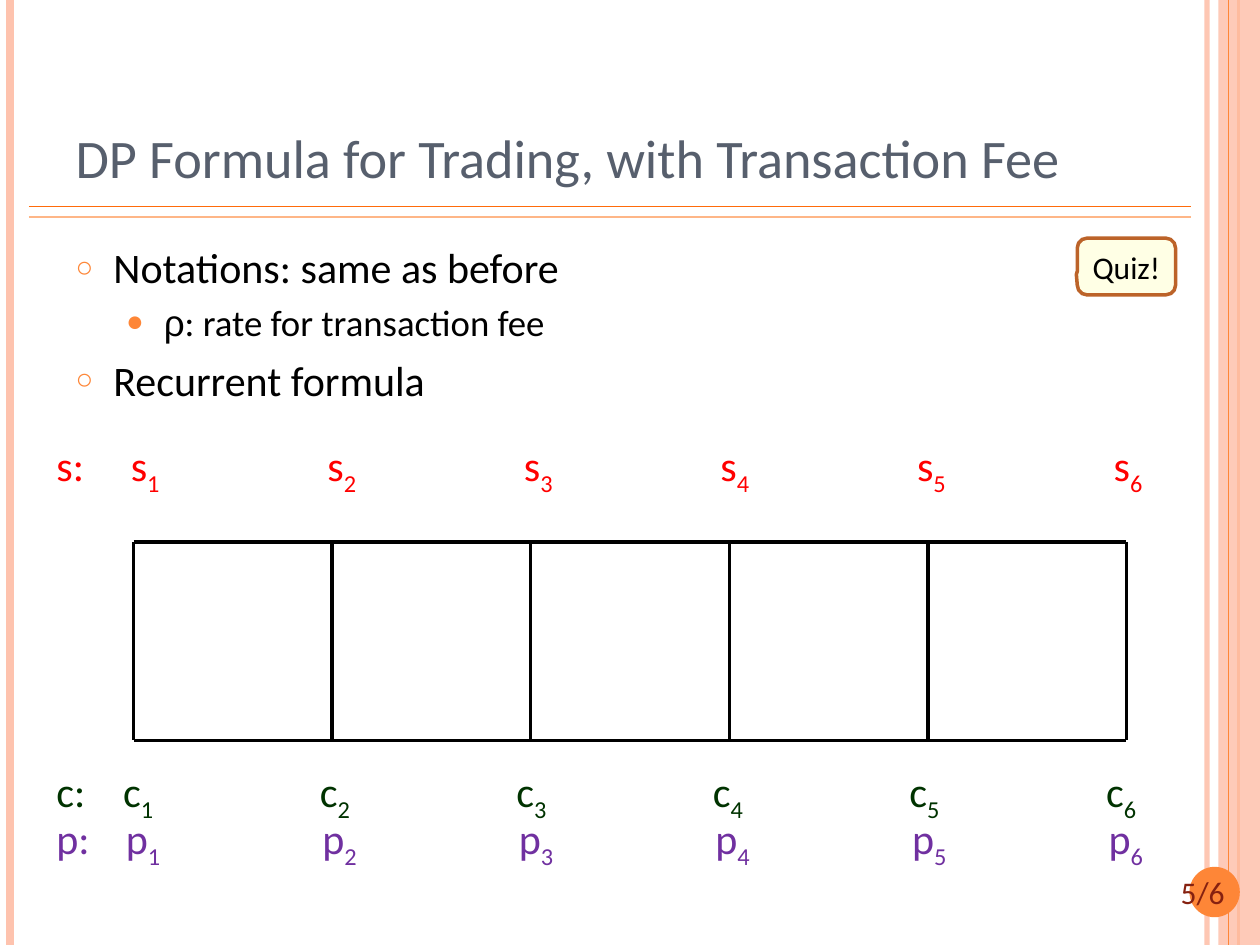
from lxml.etree import SubElement
from pptx import Presentation
from pptx.dml.color import RGBColor
from pptx.enum.shapes import MSO_CONNECTOR, MSO_SHAPE
from pptx.enum.text import MSO_ANCHOR, MSO_AUTO_SIZE, PP_ALIGN
from pptx.oxml.ns import qn
from pptx.util import Inches, Pt

WIDTH, HEIGHT = 10, 7.5
ORANGE, PINK, BLACK = "FE8637", "FEC3AE", "000000"

# Price grid: five square cells
GRID_LEFT, GRID_TOP, CELL, CELLS = 1.06, 4.3, 1.576, 5
# Label rows: left edge of the text box and distance between labels
LABEL_LEFT, LABEL_STEP = 0.35, 1.56


def color(hex_string):
    return RGBColor.from_string(hex_string)


def inches(*lengths):
    return [Inches(length) for length in lengths]


def set_alpha(shape_properties, percent):
    """Make the first solid colour below the given XML element transparent."""
    rgb = next(shape_properties.iter(qn("a:srgbClr")))
    SubElement(rgb, qn("a:alpha"), val=str(percent * 1000))


def add_line(slide, start, end, hex_color, width, alpha=None):
    line = slide.shapes.add_connector(
        MSO_CONNECTOR.STRAIGHT, *inches(*start, *end))
    line.line.color.rgb = color(hex_color)
    line.line.width = Pt(width)
    properties = line._element.spPr
    if alpha:
        set_alpha(properties, alpha)
    SubElement(properties, qn("a:effectLst"))


def add_shape(slide, kind, box, fill, alpha=None):
    shape = slide.shapes.add_shape(kind, *inches(*box))
    shape.shadow.inherit = False
    shape.fill.solid()
    shape.fill.fore_color.rgb = color(fill)
    if alpha:
        set_alpha(shape._element.spPr, alpha)
    shape.line.fill.background()
    return shape


def add_run(paragraph, text, size, hex_color, font="Calibri", subscript=False):
    run = paragraph.add_run()
    run.text = text
    run.font.size = Pt(size)
    run.font.name = font
    run.font.color.rgb = color(hex_color)
    if subscript:
        run._r.get_or_add_rPr().set("baseline", "-25000")


def add_text_box(slide, box):
    frame = slide.shapes.add_textbox(*inches(*box)).text_frame
    frame.word_wrap = True
    return frame.paragraphs[0]


def place(placeholder, box):
    placeholder.left, placeholder.top, placeholder.width, placeholder.height = inches(*box)
    placeholder.text_frame.auto_size = MSO_AUTO_SIZE.NONE
    return placeholder.text_frame


def set_bullet(paragraph, character, percent, indent):
    properties = paragraph._p.get_or_add_pPr()
    properties.set("marL", str(Inches(indent)))
    properties.set("indent", str(Inches(-0.3)))
    bullet_color = SubElement(properties, qn("a:buClr"))
    SubElement(bullet_color, qn("a:srgbClr"), val=ORANGE)
    SubElement(properties, qn("a:buSzPct"), val=str(percent * 1000))
    SubElement(properties, qn("a:buFont"), typeface="Arial")
    SubElement(properties, qn("a:buChar"), char=character)


def add_frame(slide):
    """Decorative stripes, title rules and the slide number."""
    def stripe(x, hex_color, width, alpha=None):
        add_line(slide, (x, 0), (x, HEIGHT), hex_color, width, alpha)

    stripe(9.58, PINK, 3, 93)
    stripe(0.08, PINK, 4.5)
    stripe(9.83, ORANGE, 1.5)
    add_shape(slide, MSO_SHAPE.RECTANGLE, (9.67, 0, 0.33, HEIGHT), PINK, 87)
    stripe(9.75, ORANGE, 0.75)
    for y, hex_color in ((1.64, "FF6B0A"), (1.72, "FEB687")):
        add_line(slide, (0.23, y), (9.45, y), hex_color, 1)
    add_shape(slide, MSO_SHAPE.OVAL, (9.44, 6.88, 0.4, 0.4), ORANGE)
    number = add_text_box(slide, (9.09, 6.88, 0.91, 0.4))
    number.alignment = PP_ALIGN.CENTER
    add_run(number, "5/6", 18, "862110")


def add_title(slide, text):
    frame = place(slide.shapes.title, (0.5, 0.3, 8.17, 1.25))
    frame.vertical_anchor = MSO_ANCHOR.BOTTOM
    paragraph = frame.paragraphs[0]
    paragraph.alignment = PP_ALIGN.LEFT
    add_run(paragraph, text, 31, "575F6D")


def add_body(slide, items):
    """Each item is a level and its runs of (text, font)."""
    frame = place(slide.placeholders[1], (0.5, 1.87, 8.17, 5.21))
    for index, (level, runs) in enumerate(items):
        paragraph = frame.paragraphs[0] if index == 0 else frame.add_paragraph()
        paragraph.level = level
        if level == 0:
            paragraph.space_before = Pt(6)
            set_bullet(paragraph, "○", 70, 0.3)
        else:
            set_bullet(paragraph, "●", 80, 0.7)
        for text, font in runs:
            add_run(paragraph, text, 21 if level else 24, BLACK, font)


def add_callout(slide, text):
    callout = add_shape(slide, MSO_SHAPE.ROUNDED_RECTANGULAR_CALLOUT,
                        (8.55, 1.89, 0.78, 0.45), "FFFFCC", 50)
    for index, value in enumerate((-0.51, 0.14, 0.17)):
        callout.adjustments[index] = value
    callout.line.color.rgb = color("BC6329")
    callout.line.width = Pt(2)
    frame = callout.text_frame
    frame.word_wrap = False
    frame.vertical_anchor = MSO_ANCHOR.MIDDLE
    frame.paragraphs[0].alignment = PP_ALIGN.CENTER
    add_run(frame.paragraphs[0], text, 18, BLACK)


def add_grid(slide):
    right, bottom = GRID_LEFT + CELLS * CELL, GRID_TOP + CELL
    for y in (GRID_TOP, bottom):
        add_line(slide, (GRID_LEFT, y), (right, y), BLACK, 2)
    for column in range(CELLS + 1):
        x = GRID_LEFT + column * CELL
        add_line(slide, (x, GRID_TOP), (x, bottom), BLACK, 2)


def add_label_row(slide, letter, top, first, hex_color):
    """Letter with subscripts 1 to 6, set at equal tab stops."""
    paragraph = add_text_box(slide, (LABEL_LEFT, top, 9.1, 0.5))
    tabs = SubElement(paragraph._p.get_or_add_pPr(), qn("a:tabLst"))
    add_run(paragraph, f"{letter}:", 24, hex_color)
    for column in range(CELLS + 1):
        stop = first + column * LABEL_STEP - LABEL_LEFT - 0.1
        SubElement(tabs, qn("a:tab"), pos=str(Inches(stop)), algn="l")
        add_run(paragraph, f"\t{letter}", 24, hex_color)
        add_run(paragraph, str(column + 1), 24, hex_color, subscript=True)


def main():
    presentation = Presentation()
    presentation.slide_width, presentation.slide_height = inches(WIDTH, HEIGHT)
    slide = presentation.slides.add_slide(presentation.slide_layouts[1])

    add_frame(slide)
    add_title(slide, "DP Formula for Trading, with Transaction Fee")
    add_body(slide, [
        (0, [("Notations: same as before", "Calibri")]),
        (1, [("ρ", "Arial"), (": rate for transaction fee", "Calibri")]),
        (0, [("Recurrent formula", "Calibri")]),
    ])
    add_callout(slide, "Quiz!")

    # Grid with its labels above and below
    add_grid(slide)
    add_label_row(slide, "s", 3.44, 1.04, "FF0000")
    add_label_row(slide, "p", 6.4, 1.0, "7030A0")
    add_label_row(slide, "c", 6.03, 0.98, "003300")

    presentation.save("out.pptx")


if __name__ == "__main__":
    main()
